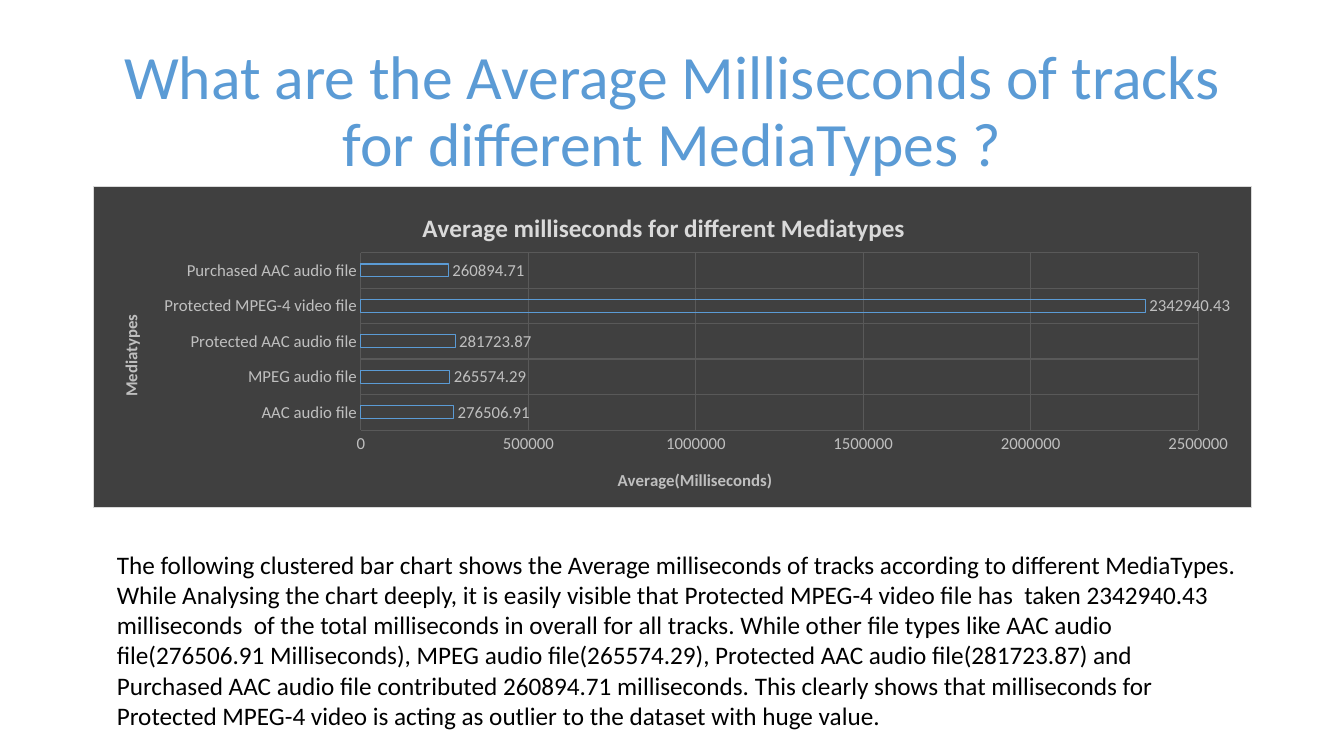
from lxml import etree
from pptx import Presentation
from pptx.chart.data import CategoryChartData
from pptx.dml.color import RGBColor
from pptx.enum.chart import XL_CHART_TYPE, XL_LABEL_POSITION, XL_TICK_MARK
from pptx.enum.text import MSO_ANCHOR, PP_ALIGN
from pptx.oxml import parse_xml
from pptx.oxml.ns import nsdecls, qn
from pptx.util import Emu, Pt

PX = 914400 / 100.8
FONT = "Calibri"
BLUE = RGBColor(0x5B, 0x9B, 0xD5)
BLACK = RGBColor(0, 0, 0)
CHARCOAL = RGBColor(0x40, 0x40, 0x40)
GRID = RGBColor(0x59, 0x59, 0x59)
SILVER = RGBColor(0xBF, 0xBF, 0xBF)
PALE = RGBColor(0xD9, 0xD9, 0xD9)

HEADLINE = "What are the Average Milliseconds of tracks for different MediaTypes ?"
AVERAGES = {
    "AAC audio file": 276506.91,
    "MPEG audio file": 265574.29,
    "Protected AAC audio file": 281723.87,
    "Protected MPEG-4 video file": 2342940.43,
    "Purchased AAC audio file": 260894.71,
}
FINDINGS = (
    "The following clustered bar chart shows the Average milliseconds of tracks "
    "according to different MediaTypes. While Analysing the chart deeply, it is "
    "easily visible that Protected MPEG-4 video file has  taken 2342940.43 "
    "milliseconds  of the total milliseconds in overall for all tracks. While other "
    "file types like AAC audio file(276506.91 Milliseconds), MPEG audio "
    "file(265574.29), Protected AAC audio file(281723.87) and Purchased AAC audio "
    "file contributed 260894.71 milliseconds. This clearly shows that milliseconds "
    "for Protected MPEG-4 video is acting as outlier to the dataset with huge value."
)


def emu(*pixels):
    """Turn pixel lengths into EMU."""
    return [Emu(round(pixel * PX)) for pixel in pixels]


def style_font(font, size, color, bold=False):
    """Set face, size, colour and weight of a font."""
    font.name, font.size, font.bold = FONT, Pt(size), bold
    font.color.rgb = color


def add_words(slide, box, words, size, color, anchor=MSO_ANCHOR.TOP,
              align=PP_ALIGN.LEFT, spacing=1.0):
    """Place one wrapped paragraph in the box."""
    frame = slide.shapes.add_textbox(*emu(*box)).text_frame
    frame.word_wrap = True
    frame.vertical_anchor = anchor
    paragraph = frame.paragraphs[0]
    paragraph.alignment, paragraph.line_spacing = align, spacing
    run = paragraph.add_run()
    run.text = words
    style_font(run.font, size, color)


def manual_layout(**fractions):
    """Build a chart layout element from fractions of the chart's size."""
    layout = parse_xml(f"<c:layout {nsdecls('c')}><c:manualLayout/></c:layout>")
    settings = {"xMode": "edge", "yMode": "edge", **fractions}
    if "w" in fractions:
        settings = {"layoutTarget": "inner", **settings}
    for tag, value in settings.items():
        etree.SubElement(layout[0], qn(f"c:{tag}")).set("val", str(value))
    return layout


def add_title(owner, words, size, color, x, y):
    """Title a chart or axis at a fraction of the chart's size."""
    title = owner.chart_title if hasattr(owner, "chart_title") else owner.axis_title
    run = title.text_frame.paragraphs[0].add_run()
    run.text = words
    style_font(run.font, size, color, bold=True)
    element = title.text_frame._txBody.getparent().getparent()
    for old in element.findall(qn("c:layout")):
        element.remove(old)
    element.find(qn("c:tx")).addnext(manual_layout(x=x, y=y))


def style_axis(axis, words, x, y):
    """Give an axis its grid, labels and title."""
    axis.major_tick_mark = axis.minor_tick_mark = XL_TICK_MARK.NONE
    axis.format.line.fill.background()
    axis.has_major_gridlines = True
    grid = axis.major_gridlines.format.line
    grid.width, grid.color.rgb = Pt(0.75), GRID
    style_font(axis.tick_labels.font, 12, SILVER)
    add_title(axis, words, 12, SILVER, x, y)


def add_averages_chart(slide, box):
    """Place the dark bar chart of averages in the box."""
    data = CategoryChartData(number_format="General")
    data.categories = list(AVERAGES)
    data.add_series("Series 1", list(AVERAGES.values()))
    chart = slide.shapes.add_chart(XL_CHART_TYPE.BAR_CLUSTERED, *emu(*box), data).chart
    style_font(chart.font, 10, BLACK)
    chart.has_legend = False
    chart._chartSpace.find(qn("c:chart")).addnext(parse_xml(
        f"<c:spPr {nsdecls('c', 'a')}>"
        f'<a:solidFill><a:srgbClr val="{CHARCOAL}"/></a:solidFill>'
        f'<a:ln w="{Pt(0.75)}"><a:solidFill><a:srgbClr val="{PALE}"/></a:solidFill></a:ln>'
        "</c:spPr>"))
    add_title(chart, "Average milliseconds for different Mediatypes", 18, PALE, 0.28, 0.06)
    style_axis(chart.category_axis, "Mediatypes", 0.02, 0.39)
    style_axis(chart.value_axis, "Average(Milliseconds)", 0.45, 0.87)
    chart.value_axis.minimum_scale, chart.value_axis.maximum_scale = 0, 2500000
    chart.value_axis.major_unit = 500000

    area = chart._chartSpace.find(f".//{qn('c:plotArea')}")
    for old in area.findall(qn("c:layout")):
        area.remove(old)
    area.insert(0, manual_layout(x=0.231, y=0.206, w=0.723, h=0.553))

    plot = chart.plots[0]
    plot.gap_width, plot.overlap, plot.vary_by_categories = 182, -50, False
    bars = plot.series[0]
    bars.format.fill.background()
    bars.format.line.width, bars.format.line.color.rgb = Pt(0.75), BLUE
    labels = bars.data_labels
    labels.show_value, labels.position = True, XL_LABEL_POSITION.OUTSIDE_END
    style_font(labels.font, 12, SILVER)


def build_slide(slide):
    """Stack the headline, the chart and the findings."""
    left, width = 93, 1159
    add_words(slide, (left, 40, width, 146), HEADLINE, 44, BLUE,
              MSO_ANCHOR.MIDDLE, PP_ALIGN.CENTER, 0.9)
    add_averages_chart(slide, (left, 186, width, 322))
    add_words(slide, (107, 544, 1145, 194), FINDINGS, 18, BLACK)


deck = Presentation()
deck.slide_width, deck.slide_height = emu(1344, 756)
build_slide(deck.slides.add_slide(deck.slide_layouts[6]))
deck.save("out.pptx")
